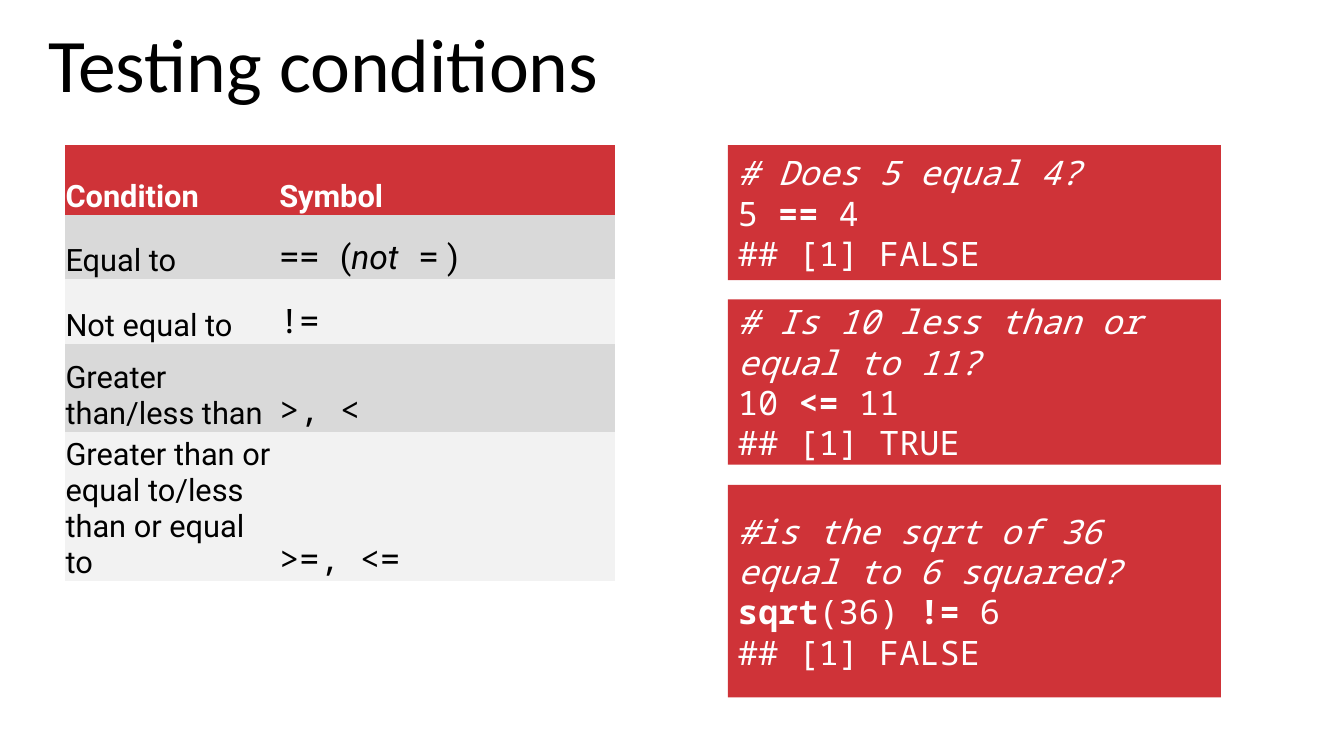
"""Build the slide about testing conditions."""
from dataclasses import dataclass

from pptx import Presentation
from pptx.dml.color import RGBColor
from pptx.enum.shapes import MSO_SHAPE
from pptx.enum.text import MSO_ANCHOR, MSO_AUTO_SIZE, PP_ALIGN
from pptx.oxml.ns import qn
from pptx.util import Inches, Pt


@dataclass(frozen=True)
class Theme:
    """Colours, fonts and type sizes of the slide."""

    red: RGBColor = RGBColor(0xCF, 0x33, 0x38)
    white: RGBColor = RGBColor(0xFF, 0xFF, 0xFF)
    black: RGBColor = RGBColor(0, 0, 0)
    bands: tuple = (RGBColor(0xD9, 0xD9, 0xD9), RGBColor(0xF2, 0xF2, 0xF2))
    title_font: str = "Calibri"
    body_font: str = "Roboto"
    code_font: str = "Noto Sans Mono"
    title_size: Pt = Pt(54)
    body_size: Pt = Pt(22)
    code_size: Pt = Pt(24)
    plain_table_style: str = "{2D5ABB26-0587-4C30-8999-92F81FD0307C}"


THEME = Theme()
TITLE = {"name": THEME.title_font, "size": THEME.title_size}
BODY = {"name": THEME.body_font, "size": THEME.body_size}
CODE = {"name": THEME.code_font, "size": THEME.code_size}
BODY_IN_CODE = {**CODE, "name": THEME.body_font}
HEADER = {**BODY, "bold": True}
COMMENT = {**CODE, "italic": True}
OPERATOR = {**CODE, "bold": True}

COLUMN_WIDTHS = (2.12, 3.34)
ROW_HEIGHTS = (0.69, 0.64, 0.64, 0.88, 1.18)
CONDITIONS = [
    ([("Condition", HEADER)], [("Symbol", HEADER)]),
    ([("Equal to", BODY)],
     [("== ", CODE), ("(", BODY_IN_CODE), ("not", {**BODY_IN_CODE, "italic": True}),
      (" =", CODE), (" )", BODY_IN_CODE)]),
    ([("Not equal to", BODY)], [("!=", CODE)]),
    ([("Greater than/less than", BODY)], [(">, <", CODE)]),
    ([("Greater than or equal to/less than or equal to", BODY)], [(">=, <=", CODE)]),
]

EXAMPLES = [
    (1.44, 1.34, [
        [("# Does 5 equal 4?", COMMENT)],
        [("5 ", CODE), ("== ", OPERATOR), ("4", CODE)],
        [("## [1] FALSE", CODE)]]),
    (2.97, 1.64, [
        [("# Is 10 less than or equal to 11?", COMMENT)],
        [("10 ", CODE), ("<= ", OPERATOR), ("11", CODE)],
        [("## [1] TRUE", CODE)]]),
    (4.81, 2.11, [
        [("#is the sqrt of 36 equal to 6 squared?", COMMENT)],
        [("sqrt", OPERATOR), ("(36) ", CODE), ("!= ", OPERATOR), ("6", CODE)],
        [("## [1] FALSE", CODE)]]),
]


def set_attributes(target, values):
    """Set each named attribute of the target."""
    for name, value in values.items():
        setattr(target, name, value)


def write_runs(paragraph, runs, color):
    """Fill a left-aligned paragraph with formatted runs."""
    paragraph.alignment = PP_ALIGN.LEFT
    for text, font_format in runs:
        run = paragraph.add_run()
        run.text = text
        set_attributes(run.font, font_format)
        run.font.color.rgb = color


def add_title(slide, text):
    """Add the slide title."""
    box = slide.shapes.add_textbox(Inches(0.38), Inches(0.12), Inches(12.52), Inches(1.01))
    set_attributes(box.text_frame,
                   {"word_wrap": True, "auto_size": MSO_AUTO_SIZE.SHAPE_TO_FIT_TEXT})
    write_runs(box.text_frame.paragraphs[0], [(text, TITLE)], THEME.black)


def fill_cell(cell, runs, fill, color):
    """Write one table cell on a solid fill."""
    margin = Inches(0.01)
    set_attributes(cell, {
        "margin_left": margin, "margin_right": margin, "margin_top": margin,
        "margin_bottom": 0, "vertical_anchor": MSO_ANCHOR.BOTTOM})
    cell.fill.solid()
    cell.fill.fore_color.rgb = fill
    write_runs(cell.text_frame.paragraphs[0], runs, color)


def add_condition_table(slide):
    """Add the table of conditions and their symbols."""
    frame = slide.shapes.add_table(
        len(ROW_HEIGHTS), len(COLUMN_WIDTHS), Inches(0.64), Inches(1.44),
        Inches(sum(COLUMN_WIDTHS)), Inches(sum(ROW_HEIGHTS)))
    table = frame.table
    table.horz_banding = False
    for style in frame.element.iter(qn("a:tableStyleId")):
        style.text = THEME.plain_table_style
    for column, width in zip(table.columns, COLUMN_WIDTHS):
        column.width = Inches(width)
    for index, (row, height) in enumerate(zip(table.rows, ROW_HEIGHTS)):
        row.height = Inches(height)
        fill = THEME.bands[(index - 1) % 2] if index else THEME.red
        color = THEME.black if index else THEME.white
        for cell, runs in zip(row.cells, CONDITIONS[index]):
            fill_cell(cell, runs, fill, color)


def add_code_panel(slide, top, height, lines):
    """Add a red panel with one code example."""
    panel = slide.shapes.add_shape(
        MSO_SHAPE.RECTANGLE, Inches(7.22), Inches(top), Inches(4.89), Inches(height))
    panel.shadow.inherit = False
    panel.fill.solid()
    panel.fill.fore_color.rgb = THEME.red
    panel.line.fill.background()
    text_frame = panel.text_frame
    set_attributes(text_frame, {"word_wrap": True, "vertical_anchor": MSO_ANCHOR.MIDDLE})
    for index, runs in enumerate(lines):
        paragraph = text_frame.add_paragraph() if index else text_frame.paragraphs[0]
        write_runs(paragraph, runs, THEME.white)


def main():
    """Create and save the presentation."""
    presentation = Presentation()
    set_attributes(presentation, {"slide_width": Inches(13.33), "slide_height": Inches(7.5)})
    slide = presentation.slides.add_slide(presentation.slide_layouts[6])
    add_title(slide, "Testing conditions")
    add_condition_table(slide)
    for top, height, lines in EXAMPLES:
        add_code_panel(slide, top, height, lines)
    presentation.save("out.pptx")


if __name__ == "__main__":
    main()
